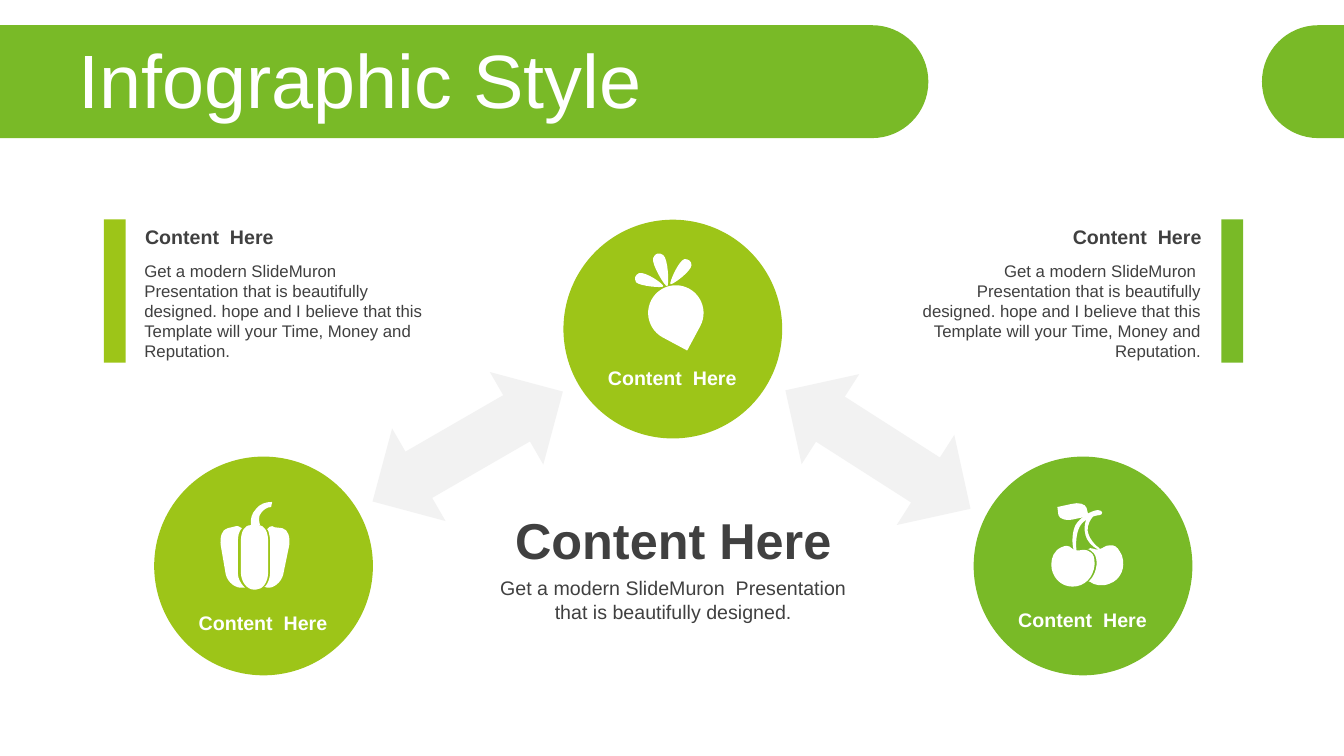
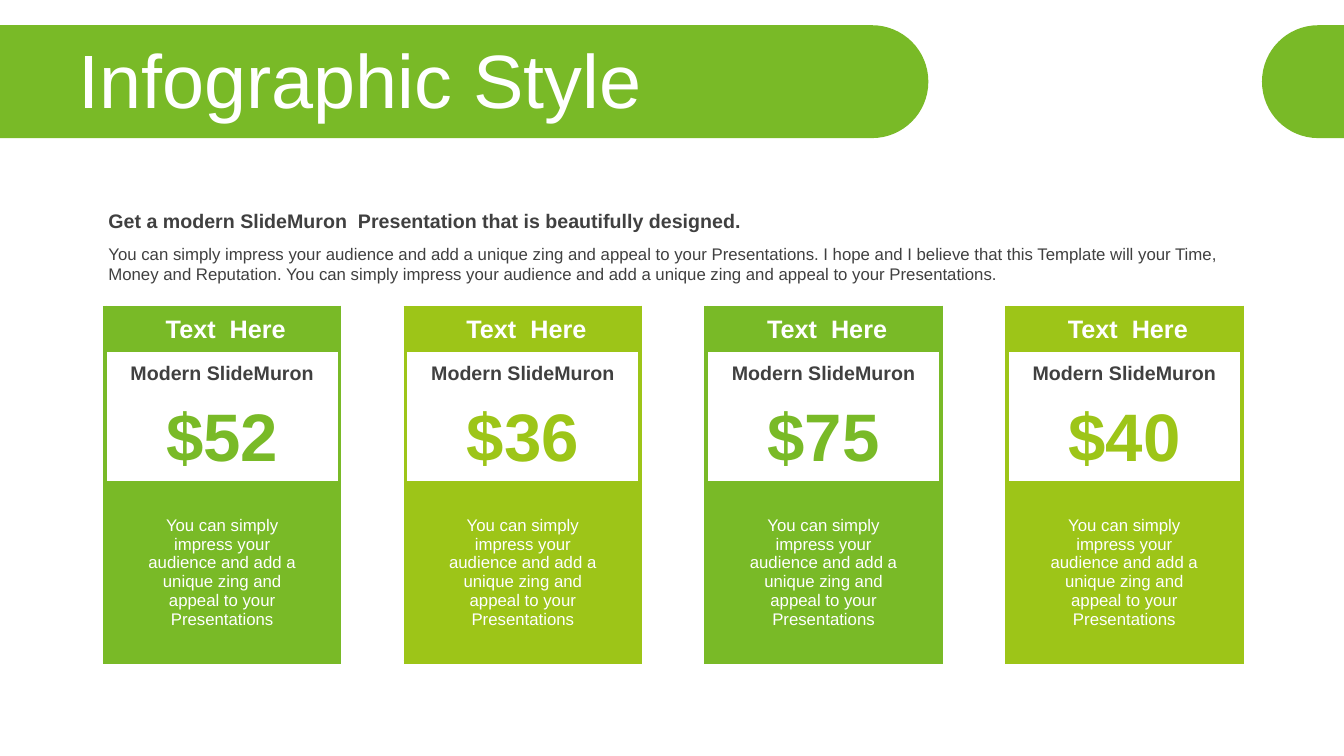
from dataclasses import dataclass

from lxml.etree import SubElement
from pptx import Presentation
from pptx.dml.color import RGBColor
from pptx.enum.shapes import MSO_SHAPE as Preset
from pptx.enum.text import MSO_ANCHOR as Anchor, PP_ALIGN as Align
from pptx.oxml.ns import qn
from pptx.util import Inches, Pt


@dataclass(frozen=True)
class Theme:
    font: str = "Arial"
    green: str = "79BA27"
    lime: str = "9DC518"
    gray: str = "F2F2F2"
    dark: str = "404040"
    white: str = "FFFFFF"
    title: int = 54
    price: int = 48
    headline: int = 36
    header: int = 18
    label: int = 14
    body: int = 12


theme = Theme()
presentation = Presentation()
presentation.slide_width = Inches(40 / 3)
presentation.slide_height = Inches(7.5)
CELL = presentation.slide_width / 40  # the slide is 40 columns by 22.5 rows
FINE = 0.03  # outlines use a finer grid, in cells


def draw(slide, form, box, color):
    """Add a preset, or an outline of points and cubic curves, in one plain colour."""
    left, top, width, height = (round(CELL * length) for length in box)
    if isinstance(form, list):
        start, *points = [(left + x * FINE * CELL, top + y * FINE * CELL)
                          for segment in form for x, y in zip(segment[::2], segment[1::2])]
        builder = slide.shapes.build_freeform(*start)
        builder.add_line_segments(points, close=True)
        shape = builder.convert_to_shape()
        # Turn each run of three control points into one curve
        lines = iter(list(shape.element.iter(qn("a:lnTo"))))
        for segment in form[1:]:
            line = next(lines)
            if len(segment) == 6:
                line.tag = qn("a:cubicBezTo")
                for _ in range(2):
                    extra = next(lines)
                    line.append(extra[0])
                    extra.getparent().remove(extra)
    else:
        shape = slide.shapes.add_shape(form, left, top, width, height)
    shape.shadow.inherit = False
    shape.fill.solid()
    shape.fill.fore_color.rgb = RGBColor.from_string(color)
    shape.line.fill.background()
    return shape


def write(frame, text, size, color, bold=False, align=Align.LEFT):
    frame.word_wrap = True
    paragraph = frame.paragraphs[0]
    paragraph.text = text
    paragraph.alignment = align
    paragraph.font.name = theme.font
    paragraph.font.size = Pt(size)
    paragraph.font.bold = bold
    paragraph.font.color.rgb = RGBColor.from_string(color)
    return paragraph


# Layout bands and titles
layout = presentation.slide_layouts[6]
for placeholder in list(layout.placeholders):
    layout.shapes.element.remove(placeholder.element)
cycle_slide, price_slide = (presentation.slides.add_slide(layout) for _ in range(2))

title_band = [(0, 25), (865, 25), (896, 25, 921, 50, 921, 81),
              (921, 112, 896, 137, 865, 137), (0, 137)]
edge_band = [(1333.33, 25), (1333.33, 137), (1308, 137), (1277, 137, 1252, 112, 1252, 81),
             (1252, 50, 1277, 25, 1308, 25)]
for band in (title_band, edge_band):
    layout.shapes.element.append(draw(cycle_slide, band, (0, 0, 0, 0), theme.green).element)

# Each text: slide, box, text, size, colour, bold, alignment, anchor
texts = [(slide, (2.04, 1.32, 37, 2.37), "Infographic Style", theme.title, theme.white,
          False, Align.LEFT, Anchor.MIDDLE) for slide in (cycle_slide, price_slide)]

# Slide 1: three circles with icons
radish = [
    [(19, 5), (21, 0, 25, -1, 29, 2), (34, 6, 35, 32, 33, 33), (31, 34, 17, 11, 19, 5)],
    [(50, 6), (54, 6, 57, 8, 57, 12), (57, 18, 38, 32, 36, 31), (35, 29, 44, 8, 50, 6)],
    [(5, 20), (1, 22, 0, 25, 2, 29), (6, 33, 29, 35, 29, 33), (30, 31, 11, 18, 5, 20)],
]
pepper = [
    [(21, 39), (21, 30, 24, 23, 31, 23), (38, 23), (45, 23, 48, 30, 48, 39), (48, 70),
     (48, 79, 43, 87, 36, 87), (34, 87), (27, 87, 21, 79, 21, 70)],
    [(31, 23), (30, 17, 32, 11, 36, 7), (40, 2, 45, 0, 52, 0), (51, 5),
     (47, 5, 43, 8, 41, 11), (38, 14, 39, 20, 40, 23), (38, 24, 33, 23, 31, 23)],
    [(18, 24), (19, 24, 20, 25, 20, 25), (22, 26), (19, 29, 18, 34, 18, 39), (18, 71),
     (18, 76, 21, 81, 24, 84), (25, 85), (23, 85), (16, 86, 8, 80, 6, 72), (1, 43),
     (0, 35, 2, 27, 8, 26), (16, 24)],
    [(52, 24), (52, 24, 53, 24, 54, 25), (62, 26), (68, 27, 70, 35, 69, 43), (63, 72),
     (61, 80, 53, 86, 47, 85), (44, 84), (45, 84), (48, 81, 50, 75, 50, 70), (50, 39),
     (50, 35, 49, 31, 48, 28), (47, 27), (48, 26), (49, 25, 50, 24, 52, 24)],
]
cherries = [
    [(10, 43), (19, 39, 18, 44, 24, 46), (30, 47, 32, 43, 39, 48), (42, 50, 43, 53, 43, 60),
     (42, 73, 33, 82, 21, 82), (9, 82, 0, 72, 0, 60), (0, 53, 3, 46, 10, 43)],
    [(46, 6), (52, 6, 51, 11, 48, 11), (38, 12, 30, 18, 28, 23), (25, 28, 24, 39, 25, 46),
     (25, 47), (23, 47), (22, 45), (20, 37, 21, 27, 24, 21), (28, 14, 38, 7, 46, 6)],
    [(58, 41), (59, 41, 60, 41, 61, 41), (65, 42, 67, 45, 70, 51), (74, 63, 69, 75, 58, 79),
     (51, 82, 43, 81, 38, 77), (37, 77), (38, 76), (42, 72, 44, 67, 45, 60),
     (45, 52, 43, 49, 40, 47), (39, 46, 38, 45, 37, 45), (36, 45),
     (40, 42, 42, 46, 47, 45), (52, 44, 53, 41, 58, 41)],
    [(37, 11), (41, 8, 43, 11, 41, 13), (36, 19, 35, 26, 37, 30), (38, 34, 43, 41, 48, 44),
     (48, 45), (47, 46), (46, 45), (40, 42, 35, 36, 34, 31), (32, 25, 33, 16, 37, 11)],
    [(20, 0), (6, 3), (7, 11), (8, 15, 15, 17, 23, 15), (37, 12), (35, 4),
     (34, 0, 27, -2, 20, 0)],
]
circles = [
    (16.77, 6.54, theme.lime, radish, (18.87, 7.53), 10.74),
    (4.59, 13.59, theme.lime, pepper, (6.54, 14.94), 18.03),
    (28.98, 13.59, theme.green, cherries, (31.29, 15), 17.94),
]
for left, top, color, icon, icon_corner, label_top in circles:
    draw(cycle_slide, Preset.OVAL, (left, top, 6.51, 6.51), color)
    for outline in icon:
        draw(cycle_slide, outline, (*icon_corner, 0, 0), theme.white)
    texts.append((cycle_slide, (left + 0.78, label_top, 4.92, 1.02), "Content  Here",
                  theme.label, theme.white, True, Align.CENTER, Anchor.MIDDLE))
radish_root = draw(cycle_slide, Preset.TEAR, (19.29, 8.49, 1.65, 1.65), theme.white)
radish_root.rotation = 118.2

for left, top, angle in ((10.65, 11.7, 330), (22.86, 11.79, 32.6)):
    arrow = draw(cycle_slide, Preset.LEFT_RIGHT_ARROW, (left, top, 6.54, 3.18), theme.gray)
    arrow.rotation = angle

texts += [
    (cycle_slide, (14.13, 15, 11.82, 2.13), "Content Here", theme.headline, theme.dark,
     True, Align.CENTER, Anchor.MIDDLE),
    (cycle_slide, (14.13, 17, 11.82, 1.71),
     "Get a modern SlideMuron  Presentation that is beautifully designed.",
     theme.label, theme.dark, False, Align.CENTER, Anchor.TOP),
]
side_text = ("Get a modern SlideMuron  Presentation that is beautifully designed. hope and I "
             "believe that this Template will your Time, Money and Reputation.")
for bar_left, text_left, color, align in ((3.09, 4, theme.lime, Align.LEFT),
                                          (36.35, 27.01, theme.green, Align.RIGHT)):
    draw(cycle_slide, Preset.RECTANGLE, (bar_left, 6.53, 0.65, 4.26), color)
    texts += [
        (cycle_slide, (text_left + 0.02, 6.54, 9.03, 1.02), "Content  Here", theme.label,
         theme.dark, True, align, Anchor.MIDDLE),
        (cycle_slide, (text_left, 7.6, 9.03, 3.33), side_text, theme.body,
         theme.dark, False, align, Anchor.TOP),
    ]

# Slide 2: introduction and price tables
texts += [
    (price_slide, (2.93, 6.06, 34.14, 1.02),
     "Get a modern SlideMuron  Presentation that is beautifully designed.",
     theme.label, theme.dark, True, Align.LEFT, Anchor.TOP),
    (price_slide, (2.93, 7.11, 34.14, 1.5),
     "You can simply impress your audience and add a unique zing and appeal to your "
     "Presentations. I hope and I believe that this Template will your Time, Money and "
     "Reputation. You can simply impress your audience and add a unique zing and appeal "
     "to your Presentations.",
     theme.body, theme.dark, False, Align.LEFT, Anchor.TOP),
]

for slide, box, text, size, color, bold, align, anchor in texts:
    text_box = slide.shapes.add_textbox(*(round(CELL * length) for length in box))
    text_box.text_frame.vertical_anchor = anchor
    paragraph = write(text_box.text_frame, text, size, color, bold, align)
    if size == theme.title:
        paragraph.line_spacing = 0.9

table_columns = (0.69, 5.55, 0.69)
table_rows = (1.32, 1.32, 2.52, 0.9, 3.66, 0.84)
merged_rows = (0, 1, 2)
white_rows = (1, 2)
last_row, last_column = len(table_rows) - 1, len(table_columns) - 1
plans = (("$52", theme.green), ("$36", theme.lime), ("$75", theme.green), ("$40", theme.lime))

for index, (price, color) in enumerate(plans):
    area = (3.12 + 8.95 * index, 9.15, sum(table_columns), sum(table_rows))
    table = price_slide.shapes.add_table(
        len(table_rows), len(table_columns), *(round(CELL * length) for length in area)).table
    table.first_row = table.horz_banding = False
    for column, width in zip(table.columns, table_columns):
        column.width = round(CELL * width)
    for row, height in zip(table.rows, table_rows):
        row.height = round(CELL * height)
    for row in merged_rows:
        table.cell(row, 0).merge(table.cell(row, last_column))

    cell_texts = {
        (0, 0): (" Text  Here", theme.header, theme.white, True),
        (1, 0): ("Modern SlideMuron", theme.label, theme.dark, True),
        (2, 0): (price, theme.price, color, True),
        (4, 1): ("You can simply impress your audience and add a unique zing and appeal to "
                 "your Presentations", theme.body, theme.white, False),
    }
    for row in range(len(table_rows)):
        for column in range(len(table_columns)):
            cell = table.cell(row, column)
            cell.margin_top = cell.margin_bottom = 0
            cell.vertical_anchor = Anchor.MIDDLE
            content = cell_texts.get((row, column), ("", theme.body, theme.white, False))
            write(cell.text_frame, *content, Align.CENTER)
            borders = {
                "a:lnL": column == 0,
                "a:lnR": column == last_column or row in merged_rows,
                "a:lnT": row == 0,
                "a:lnB": row == last_row,
            }
            properties = cell._tc.get_or_add_tcPr()
            for tag, visible in borders.items():
                line = SubElement(properties, qn(tag), w=str(Pt(3) if visible else 0))
                if visible:
                    fill = SubElement(line, qn("a:solidFill"))
                    SubElement(fill, qn("a:srgbClr"), val=color)
                else:
                    SubElement(line, qn("a:noFill"))
            cell.fill.solid()
            cell.fill.fore_color.rgb = RGBColor.from_string(
                theme.white if row in white_rows else color)

presentation.save("out.pptx")
